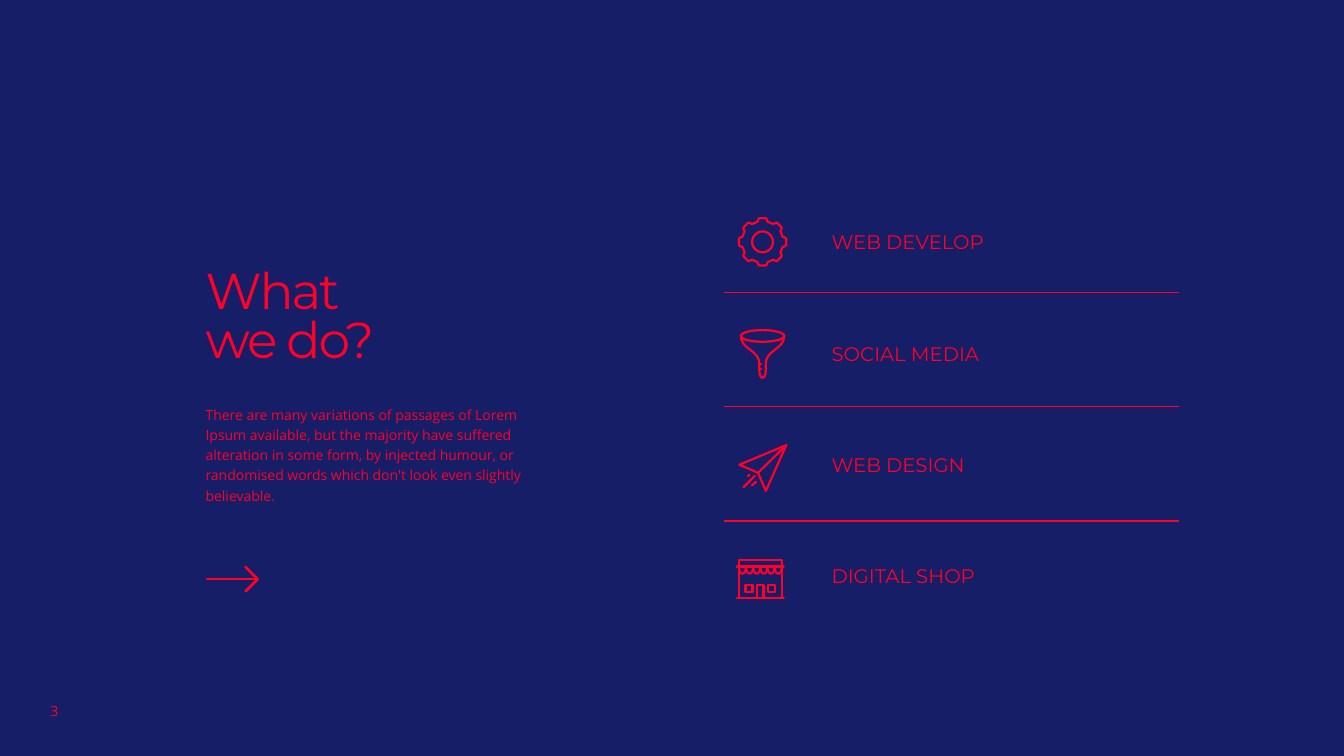
from math import cos, pi, sin

from lxml import etree
from pptx import Presentation
from pptx.dml.color import RGBColor
from pptx.enum.shapes import MSO_CONNECTOR
from pptx.enum.text import MSO_ANCHOR, MSO_AUTO_SIZE, PP_ALIGN
from pptx.oxml.ns import qn
from pptx.util import Pt

STRAIGHT = MSO_CONNECTOR.STRAIGHT
TOP = MSO_ANCHOR.TOP
MIDDLE = MSO_ANCHOR.MIDDLE
NO_FIT = MSO_AUTO_SIZE.NONE
GROW = MSO_AUTO_SIZE.SHAPE_TO_FIT_TEXT
LEFT = PP_ALIGN.LEFT
CENTER = PP_ALIGN.CENTER

NAVY = "151E67"
RED = "FF0028"
HEADING_FONT = "Montserrat"
BODY_FONT = "Open Sans"
ICON_UNIT = 0.72
STEPS = 10


def color(value):
    return RGBColor.from_string(value)


def place(shape, left, top, width, height):
    shape.left, shape.top = Pt(left), Pt(top)
    shape.width, shape.height = Pt(width), Pt(height)


def set_margins(frame, left, top, right, bottom):
    frame.margin_left, frame.margin_top = Pt(left), Pt(top)
    frame.margin_right, frame.margin_bottom = Pt(right), Pt(bottom)


def add_run(paragraph, text, size, font):
    run = paragraph.add_run()
    run.text = text
    run.font.size = Pt(size)
    run.font.name = font
    run.font.color.rgb = color(RED)
    return run


def add_text(slide, box, text, size, font, spacing=1.0):
    shape = slide.shapes.add_textbox(*(Pt(length) for length in box))
    frame = shape.text_frame
    frame.word_wrap = True
    frame.auto_size = GROW
    set_margins(frame, 0, 3.6, 0, 3.6)
    paragraph = frame.paragraphs[0]
    paragraph.line_spacing = spacing
    add_run(paragraph, text, size, font)
    return shape


def curve(start, first, second, end):
    points = []
    for step in range(STEPS + 1):
        t = step / STEPS
        weights = ((1 - t) ** 3, 3 * t * (1 - t) ** 2, 3 * t * t * (1 - t), t ** 3)
        corners = (start, first, second, end)
        points.append(tuple(sum(w * p[axis] for w, p in zip(weights, corners))
                            for axis in (0, 1)))
    return points


def ellipse(x, y, radius_x, radius_y):
    angles = [2 * pi * step / 40 for step in range(41)]
    return [(x + radius_x * cos(a), y + radius_y * sin(a)) for a in angles]


def rectangle(left, top, right, bottom):
    return [(left, top), (right, top), (right, bottom), (left, bottom), (left, top)]


def gear_strokes():
    tooth = [(-5, -20), (-4.4, -22), (-3.3, -23.5), (3.3, -23.5), (4.4, -22), (5, -20)]
    outline = []
    for index in range(8):
        a = index * pi / 4
        outline += [(x * cos(a) - y * sin(a), x * sin(a) + y * cos(a)) for x, y in tooth]
    return [outline + outline[:1], ellipse(0, 0, 10.3, 10.3)]


def funnel_strokes():
    strokes = [ellipse(0, -18.2, 21.5, 5.8)]
    for side in (-1, 1):
        cone = curve((side * 21.5, -18.2), (side * 21.5, -5), (side * 3.3, -4), (side * 3.3, 9))
        spout = curve((side * 3.3, 9), (side * 3.3, 21), (side * 2.5, 23.2), (0, 23.2))
        strokes.append(cone + spout)
    return strokes + [[(-3.3, y), (-1.5, y)] for y in (9.5, 14.5)]


def plane_strokes():
    tip, wing, fold, tail = (23.5, -21.5), (-23, -2), (-4.5, 6), (3.3, 24)
    return [
        [tip, wing, fold, tail, tip],
        [fold, tip],
        [(-6.5, 15), (-10.5, 18.5)],
        [(-7.7, 9), (-19, 20.5)],
        [(-13, 8), (-14.5, 9.3)],
    ]


def shop_strokes():
    left, right, awning = -23.5, 19, -12.5
    scallop = (right - left) / 6
    strokes = [rectangle(left, -19, right, 19)]
    strokes += [[(left - 2, y), (right + 2, y)] for y in (awning, 19)]
    for index in range(6):
        start = left + index * scallop
        end = start + scallop
        strokes.append(curve((start, awning), (start, -3.2), (end, -3.2), (end, awning)))
    strokes.append([(-5.5, 19), (-5.5, 5.5), (1, 5.5), (1, 19)])
    strokes += [rectangle(x, 5.5, x + 7, 12.5) for x in (-17, 5.2)]
    return strokes


def add_strokes(slide, x, y, strokes, width):
    contours = [[(px * 10, py * 10) for px, py in stroke] for stroke in strokes]
    builder = slide.shapes.build_freeform(*contours[0][0], scale=Pt(ICON_UNIT / 10))
    builder.add_line_segments(contours[0][1:], close=False)
    for contour in contours[1:]:
        builder.move_to(*contour[0])
        builder.add_line_segments(contour[1:], close=False)
    shape = builder.convert_to_shape(Pt(x), Pt(y))
    shape.shadow.inherit = False
    shape.fill.background()
    shape.line.color.rgb = color(RED)
    shape.line.width = Pt(width)
    outline = shape.line._get_or_add_ln()
    outline.set("cap", "rnd")
    etree.SubElement(outline, qn("a:round"))


def add_divider(slide, left, right, y):
    line = slide.shapes.add_connector(STRAIGHT, Pt(left), Pt(y), Pt(right), Pt(y))
    line.line.color.rgb = color(RED)
    line.line.width = Pt(1)
    etree.SubElement(line._element.spPr, qn("a:effectLst"))


def add_title(slide, left, top, width, height):
    title = slide.shapes.title
    place(title, left, top, width, height)
    frame = title.text_frame
    frame.word_wrap = True
    frame.auto_size = NO_FIT
    frame.vertical_anchor = TOP
    set_margins(frame, 0, 15.1, 0, 0)
    paragraph = frame.paragraphs[0]
    paragraph.alignment = LEFT
    paragraph.line_spacing = 0.8
    for index, words in enumerate(("What", "we do?")):
        if index:
            paragraph.add_line_break()
        run = add_run(paragraph, words, 36, HEADING_FONT)
        run.font._element.set("spc", "-150")


def add_introduction(slide, left, top):
    add_title(slide, left, top, 332.6, 127.4)
    add_text(slide, (left, top + 105.8, 252, 79.2),
             "There are many variations of passages of Lorem Ipsum available, but the "
             "majority have suffered alteration in some form, by injected humour, or "
             "randomised words which don't look even slightly believable.",
             10, BODY_FONT, 1.2)
    arrow = [[(1.3, 0), (51.7, 0)], [(39.7, -12), (51.7, 0), (39.7, 12)]]
    add_strokes(slide, left, top + 235.1, arrow, 1.9)


def add_services(slide, left, top, width):
    services = (
        ("WEB DEVELOP", gear_strokes()),
        ("SOCIAL MEDIA", funnel_strokes()),
        ("WEB DESIGN", plane_strokes()),
        ("DIGITAL SHOP", shop_strokes()),
    )
    for index, (label, strokes) in enumerate(services):
        if index:
            add_divider(slide, left, left + width, top + 54 + (index - 1) * 81.7)
        add_strokes(slide, left + 27.7, top + 18 + index * 80.3, strokes, 1.6)
        add_text(slide, (left + 77, top + 10.8 + index * 79.4, 217.4, 20.2),
                 label, 14, HEADING_FONT, 0.7)


def add_page_number(slide, left, top):
    shape = add_text(slide, (left, top, 40.3, 18), "3", 10, BODY_FONT)
    shape.text_frame.auto_size = NO_FIT
    shape.text_frame.vertical_anchor = MIDDLE
    shape.text_frame.paragraphs[0].alignment = CENTER


def main():
    presentation = Presentation()
    presentation.slide_width, presentation.slide_height = Pt(960), Pt(540)
    slide = presentation.slides.add_slide(presentation.slide_layouts[5])
    slide.background.fill.solid()
    slide.background.fill.fore_color.rgb = color(NAVY)
    add_page_number(slide, 18.7, 499)
    add_introduction(slide, 146.9, 178.6)
    add_services(slide, 517, 154.8, 325.4)
    presentation.save("out.pptx")


if __name__ == "__main__":
    main()
